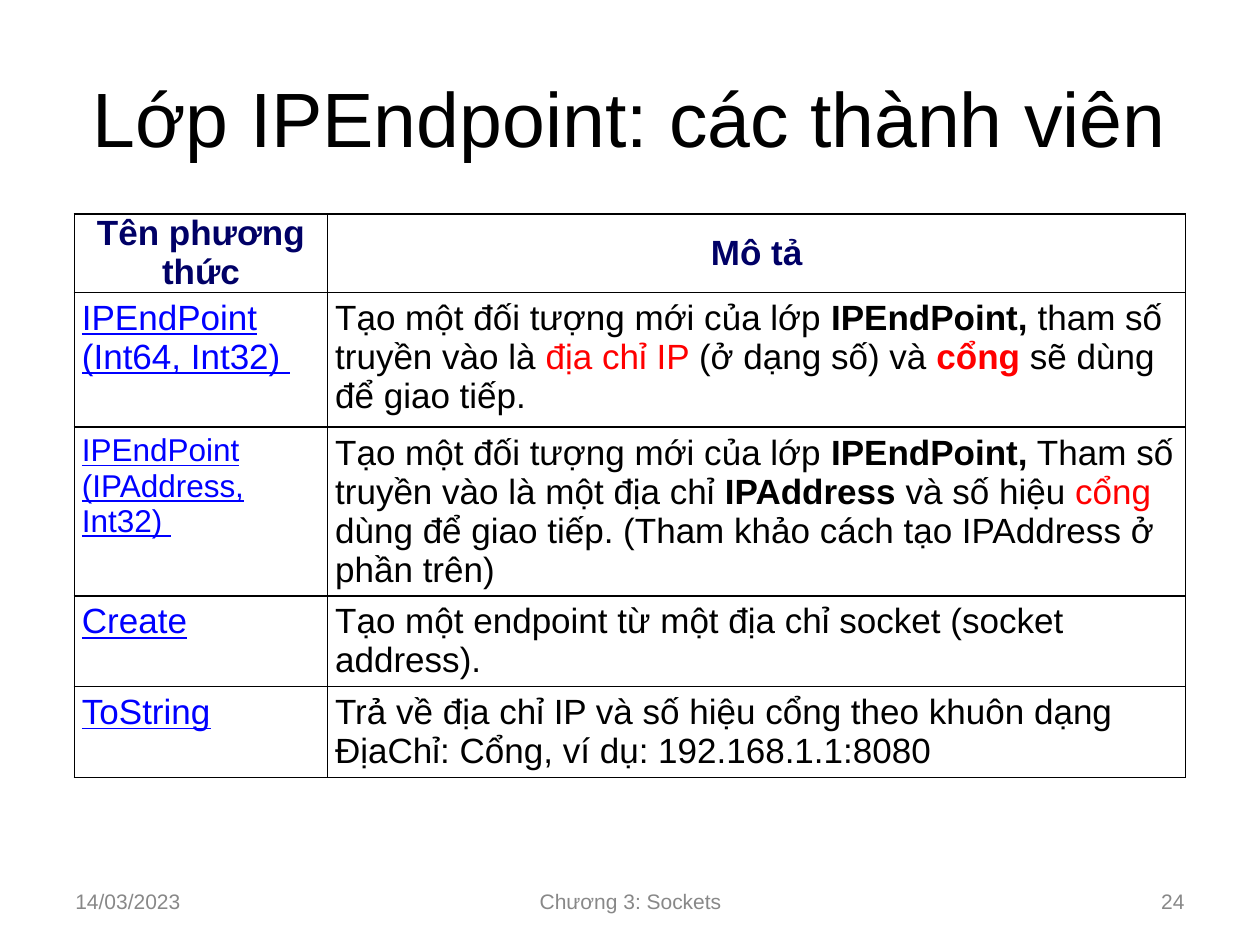
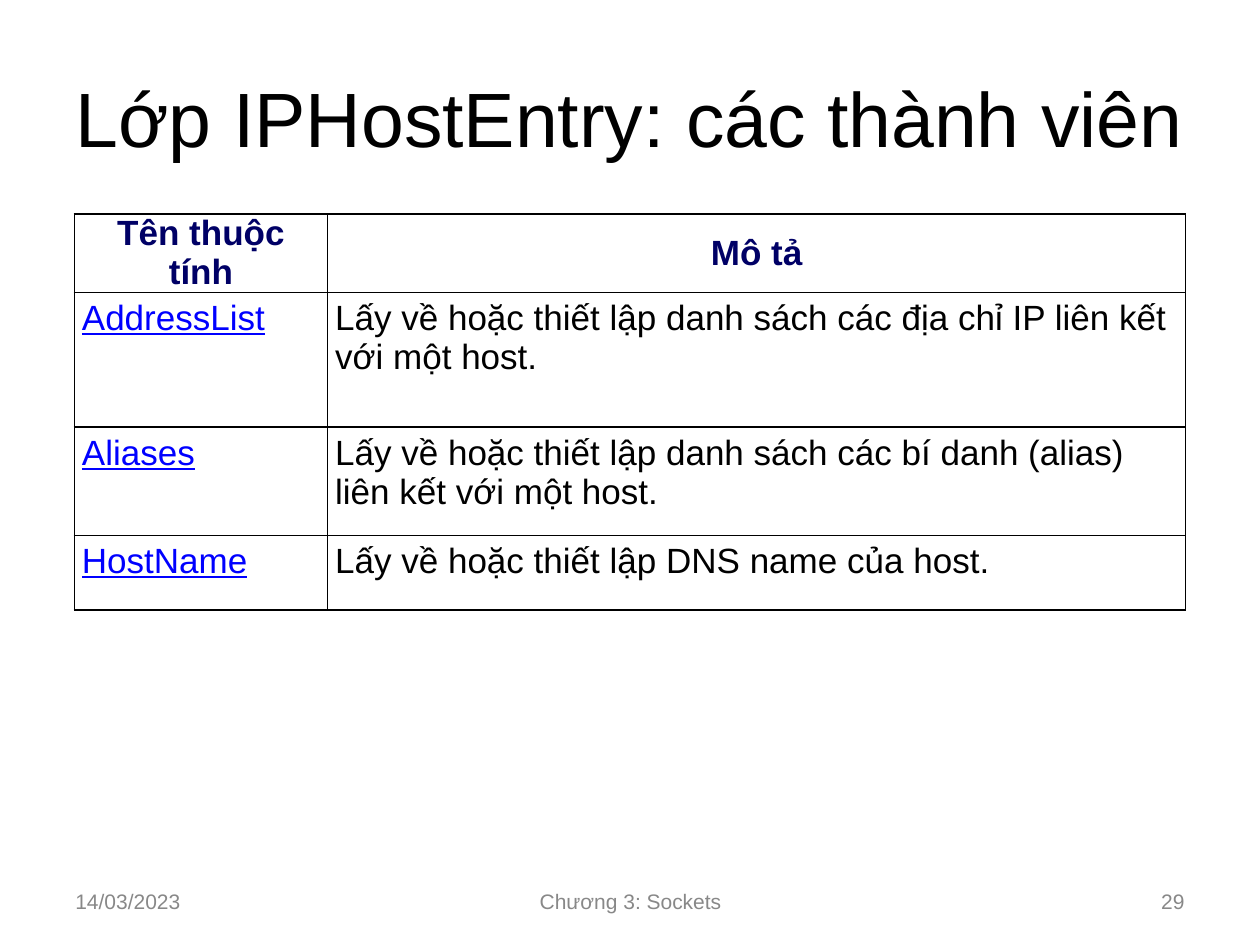
"""Build two slides that list the members of the IPEndPoint and IPHostEntry classes."""
from lxml.etree import SubElement
from pptx import Presentation
from pptx.dml.color import RGBColor
from pptx.enum.text import MSO_ANCHOR, PP_ALIGN
from pptx.oxml.ns import qn
from pptx.util import Inches, Pt

THEME = {
    "font": "Arial",
    "border": "000000",
    "border_width": Pt(1),
    "styles": {
        "title": {"size": Pt(44), "color": "000000"},
        "footer": {"size": Pt(12), "color": "888888"},
        "header": {"size": Pt(20), "color": "000066", "bold": True},
        "link": {"size": Pt(20), "color": "0000FF", "underline": True},
        "small link": {"size": Pt(18), "color": "0000FF", "underline": True},
        "body": {"size": Pt(20), "color": "000000"},
        "strong": {"size": Pt(20), "color": "000000", "bold": True},
        "red": {"size": Pt(20), "color": "FF0000"},
        "strong red": {"size": Pt(20), "color": "FF0000", "bold": True},
    },
}

HEADER_CELL = {
    "vertical_anchor": MSO_ANCHOR.MIDDLE,
    "margin_left": Inches(0.07), "margin_right": Inches(0.07),
    "margin_top": 0, "margin_bottom": 0,
}
BODY_CELL = {
    "vertical_anchor": MSO_ANCHOR.TOP,
    "margin_left": Inches(0.05), "margin_right": Inches(0.05),
    "margin_top": Inches(0.05), "margin_bottom": Inches(0.05),
}

COLUMN_WIDTHS = [2.01, 6.81]
ROW_HEIGHTS = [0.55, 1.07, 0.86, 0.59, 0.59]

CLASSES = [
    {
        "title": "Lớp IPEndpoint: các thành viên",
        "number": "24",
        "members": [
            ([("Tên phương thức", "header")], [("Mô tả", "header")]),
            ([("IPEndPoint (Int64, Int32) ", "link")],
             [("Tạo một đối tượng mới của lớp ", "body"), ("IPEndPoint,", "strong"),
              (" tham số truyền vào là ", "body"), ("địa chỉ IP ", "red"),
              ("(ở dạng số) và ", "body"), ("cổng ", "strong red"),
              ("sẽ dùng để giao tiếp.", "body")]),
            ([("IPEndPoint (IPAddress, Int32) ", "small link")],
             [("Tạo một đối tượng mới của lớp ", "body"), ("IPEndPoint,", "strong"),
              (" Tham số truyền vào là một địa chỉ ", "body"), ("IPAddress ", "strong"),
              ("và số hiệu ", "body"), ("cổng", "red"),
              (" dùng để giao tiếp. (Tham khảo cách tạo IPAddress ở phần trên)", "body")]),
            ([("Create", "link")],
             [("Tạo một endpoint từ một địa chỉ socket (socket address).", "body")]),
            ([("ToString", "link")],
             [("Trả về địa chỉ IP và số hiệu cổng theo khuôn dạng "
               "ĐịaChỉ: Cổng, ví dụ: 192.168.1.1:8080", "body")]),
        ],
    },
    {
        "title": "Lớp IPHostEntry: các thành viên",
        "number": "29",
        "members": [
            ([("Tên thuộc tính", "header")], [("Mô tả", "header")]),
            ([("AddressList", "link")],
             [("Lấy về hoặc thiết lập danh sách các địa chỉ IP liên kết "
               "với một host.", "body")]),
            ([("Aliases", "link")],
             [("Lấy về hoặc thiết lập danh sách các bí danh (alias) "
               "liên kết với một host.", "body")]),
            ([("HostName", "link")],
             [("Lấy về hoặc thiết lập DNS name của host.", "body")]),
        ],
    },
]


def write_runs(frame, runs, alignment):
    """Fill the first paragraph of a text frame with styled runs."""
    paragraph = frame.paragraphs[0]
    paragraph.alignment = alignment
    for text, style in runs:
        run = paragraph.add_run()
        run.text = text
        run.font.name = THEME["font"]
        for attribute, value in THEME["styles"][style].items():
            if attribute == "color":
                run.font.color.rgb = RGBColor.from_string(value)
            else:
                setattr(run.font, attribute, value)


def draw_borders(cell):
    """Give a cell a solid line on each of its four sides."""
    properties = cell._tc.get_or_add_tcPr()
    for side in ("a:lnL", "a:lnR", "a:lnT", "a:lnB"):
        line = SubElement(properties, qn(side), w=str(THEME["border_width"]))
        fill = SubElement(line, qn("a:solidFill"))
        SubElement(fill, qn("a:srgbClr"), val=THEME["border"])


deck = Presentation()
deck.slide_width, deck.slide_height = Inches(10), Inches(7.5)

for class_info in CLASSES:
    slide = deck.slides.add_slide(deck.slide_layouts[5])

    heading = slide.shapes.title
    heading.left, heading.top = Inches(0.5), Inches(0.3)
    heading.width, heading.height = Inches(9), Inches(1.25)
    heading.text_frame.vertical_anchor = MSO_ANCHOR.MIDDLE
    write_runs(heading.text_frame, [(class_info["title"], "title")], PP_ALIGN.CENTER)

    members = class_info["members"]
    heights = ROW_HEIGHTS[:len(members)]
    member_table = slide.shapes.add_table(
        len(members), len(COLUMN_WIDTHS), Inches(0.59), Inches(1.7),
        Inches(sum(COLUMN_WIDTHS)), Inches(sum(heights))).table
    member_table.first_row = member_table.horz_banding = False
    for column, width in zip(member_table.columns, COLUMN_WIDTHS):
        column.width = Inches(width)
    for row_index, (row, height) in enumerate(zip(member_table.rows, heights)):
        row.height = Inches(height)
        is_header = row_index == 0
        for cell, runs in zip(row.cells, members[row_index]):
            for attribute, value in (HEADER_CELL if is_header else BODY_CELL).items():
                setattr(cell, attribute, value)
            draw_borders(cell)
            cell.fill.background()
            if not is_header:
                cell.text_frame.paragraphs[0]._p.get_or_add_pPr().set("marL", str(Inches(0.01)))
            write_runs(cell.text_frame, runs, PP_ALIGN.CENTER if is_header else PP_ALIGN.LEFT)

    for text, left, width, alignment in [
        ("14/03/2023", 0.5, 2.33, PP_ALIGN.LEFT),
        ("Chương 3: Sockets", 3.42, 3.17, PP_ALIGN.CENTER),
        (class_info["number"], 7.17, 2.33, PP_ALIGN.RIGHT),
    ]:
        footer = slide.shapes.add_textbox(Inches(left), Inches(6.95), Inches(width), Inches(0.4))
        footer.text_frame.word_wrap = True
        footer.text_frame.vertical_anchor = MSO_ANCHOR.MIDDLE
        write_runs(footer.text_frame, [(text, "footer")], alignment)

deck.save("out.pptx")
